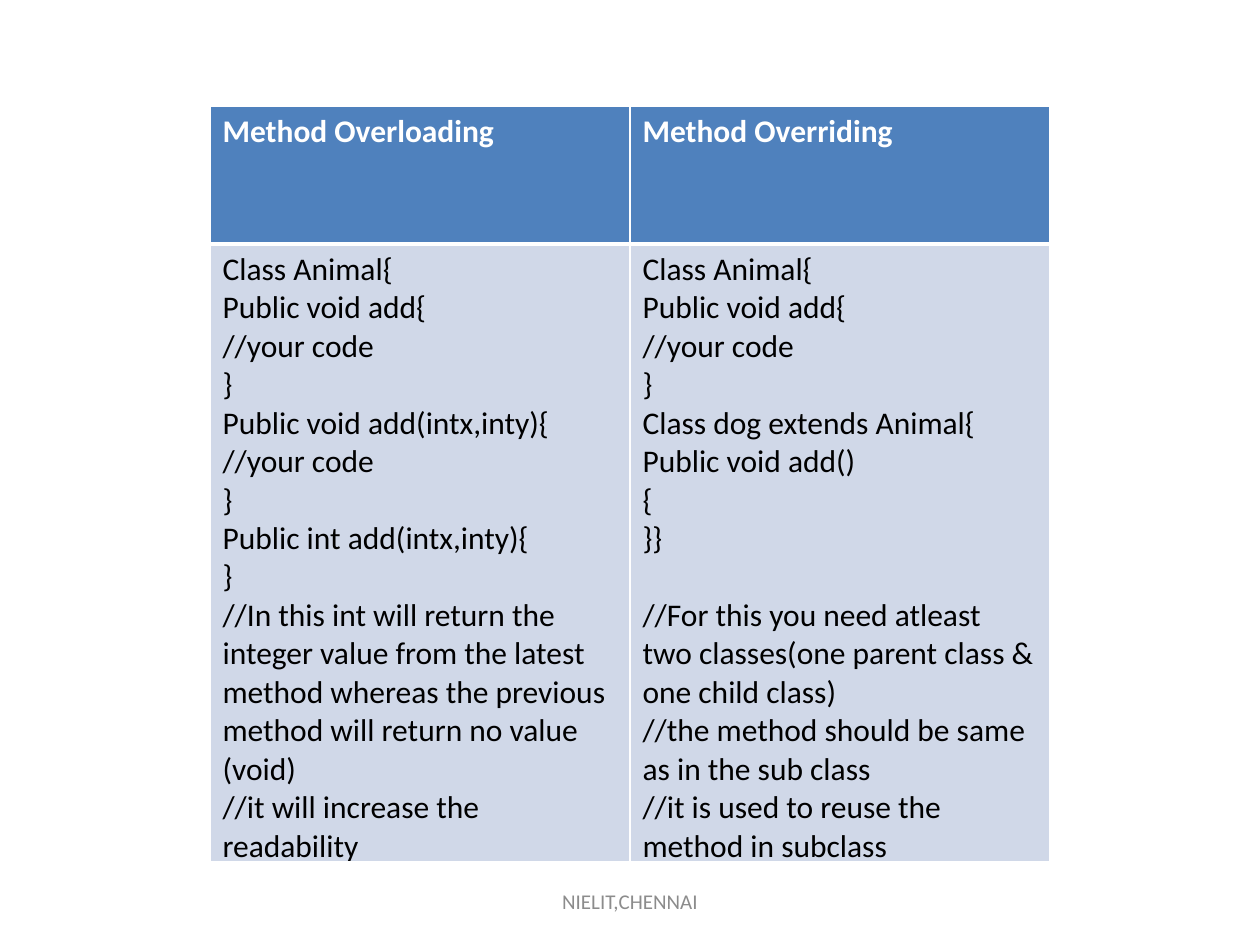
"""Build a slide that compares method overloading with method overriding."""
from dataclasses import dataclass

import lxml.etree
import pptx
import pptx.dml.color
import pptx.enum.text
import pptx.oxml.ns
import pptx.util

Pt = pptx.util.Pt
COLORS = {"head": "4F81BD", "body": "D0D8E8", "white": "FFFFFF", "ink": "000000", "foot": "8C8C8C"}
EDGES = ("L", "R", "T", "B")
LEFT, TOP, WIDTH, HEIGHT = 120, 60.5, 480, 432
ROWS = (79, 301)
GAP = 22


@dataclass
class Style:
    fill: str
    ink: str
    bold: bool
    edges: tuple


@dataclass
class Column:
    title: str
    code: list
    notes: list
    gap: int = 0


HEAD = Style("head", "white", True, (1, 1, 1, 3))
BODY = Style("body", "ink", False, (1, 1, 3, 1))
START = ["Class Animal{", "Public void add{", "//your code", "}"]
COLUMNS = [
    Column(
        "Method Overloading",
        START + ["Public void add(intx,inty){", "//your code", "}", "Public int add(intx,inty){", "}"],
        ["//In this int will return the integer value from the latest method "
         "whereas the previous method will return no value (void)",
         "//it will increase the readability"],
    ),
    Column(
        "Method Overriding",
        START + ["Class dog extends Animal{", "Public void add()", "{", "}}"],
        ["//For this you need atleast two classes(one parent class & one child class)",
         "//the method should be same as in the sub class",
         "//it is used to reuse the method in subclass"],
        GAP,
    ),
]


def tint(name: str) -> pptx.dml.color.RGBColor:
    """Return the named colour."""
    return pptx.dml.color.RGBColor.from_string(COLORS[name])


def apply(item, values: dict) -> None:
    """Set each attribute of an item from a dict."""
    for key, value in values.items():
        setattr(item, key, value)


def write(frame, lines: list, size: int, ink: str, bold: bool = False) -> None:
    """Fill a text frame with one paragraph per line."""
    frame.text = "\n".join(lines)
    for para in frame.paragraphs:
        font = para.runs[0].font
        apply(font, {"name": "Calibri", "size": Pt(size), "bold": bold})
        font.color.rgb = tint(ink)


def border(cell, widths: tuple) -> None:
    """Add white lines to the four edges of a cell."""
    name = pptx.oxml.ns.qn
    props = cell._tc.get_or_add_tcPr()
    for edge, width in zip(EDGES, widths):
        line = lxml.etree.SubElement(props, name(f"a:ln{edge}"), w=str(Pt(width)))
        fill = lxml.etree.SubElement(line, name("a:solidFill"))
        lxml.etree.SubElement(fill, name("a:srgbClr"), val=COLORS["white"])


def draw_cell(cell, lines: list, style: Style) -> None:
    """Write, outline and fill one cell."""
    write(cell.text_frame, lines, 18, style.ink, style.bold)
    border(cell, style.edges)
    cell.fill.solid()
    cell.fill.fore_color.rgb = tint(style.fill)


def draw_table(slide, columns: list) -> None:
    """Draw the comparison table."""
    frame = slide.shapes.add_table(2, len(columns), Pt(LEFT), Pt(TOP), Pt(WIDTH), Pt(HEIGHT))
    table = frame.table
    for row, height in zip(table.rows, ROWS):
        row.height = Pt(height)
    frame.height = Pt(HEIGHT)
    for index, col in enumerate(columns):
        draw_cell(table.cell(0, index), [col.title], HEAD)
        body = table.cell(1, index)
        draw_cell(body, col.code + col.notes, BODY)
        if col.gap:
            body.text_frame.paragraphs[len(col.code)].space_before = Pt(col.gap)


def draw_foot(slide, text: str) -> None:
    """Draw the centred footer."""
    frame = slide.shapes.add_textbox(Pt(246), Pt(500.5), Pt(228), Pt(28.75)).text_frame
    apply(frame, {"word_wrap": True, "vertical_anchor": pptx.enum.text.MSO_ANCHOR.MIDDLE})
    write(frame, [text], 12, "foot")
    frame.paragraphs[0].alignment = pptx.enum.text.PP_ALIGN.CENTER


def main() -> None:
    """Build and save the slide."""
    deck = pptx.Presentation()
    apply(deck, {"slide_width": Pt(720), "slide_height": Pt(540)})
    slide = deck.slides.add_slide(deck.slide_layouts[6])
    draw_foot(slide, "NIELIT,CHENNAI")
    draw_table(slide, COLUMNS)
    deck.save("out.pptx")


if __name__ == "__main__":
    main()
